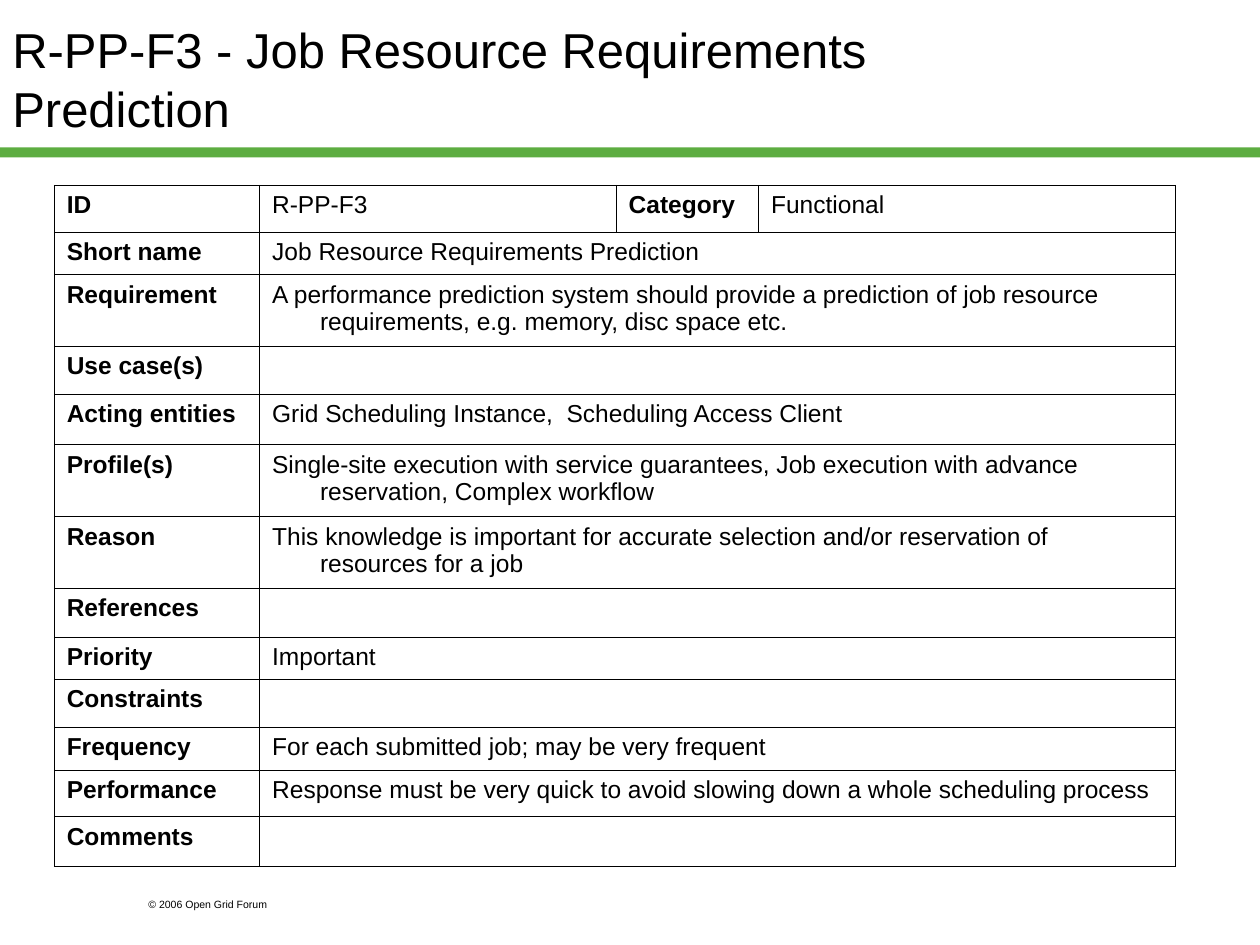
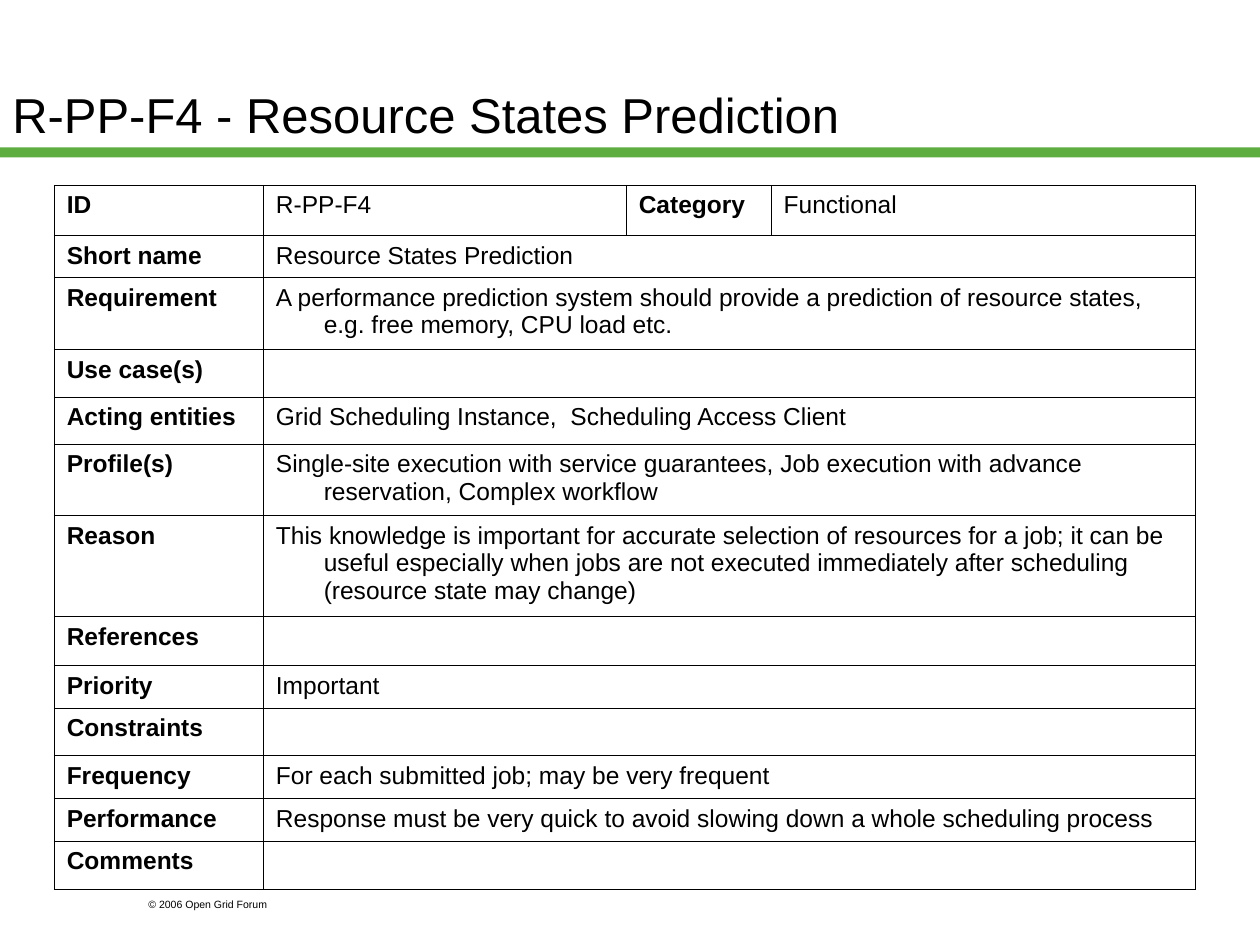
from lxml import etree
from pptx import Presentation, util as u
from pptx.dml.color import RGBColor
from pptx.enum import shapes, text
from pptx.oxml.ns import qn

BLACK = RGBColor(0x00, 0x00, 0x00)
GREEN = RGBColor(0x5D, 0xAD, 0x41)
FONT = "Arial"
CELL_SIZE = 14
HANGING = u.Inches(0.38)
BORDER_WIDTH = u.Pt(0.34)

TITLE_SIZE = (8.5, 1.25)
BAND_BOX = (0, 1.17, 10, 0.08)
FOOTER_BOX = (1.08, 7.08, 1.5, 0.2)
TABLE_CORNER = (0.43, 1.47)

# Fields that read the same for every requirement
COMMON_FIELDS = {
    "Category": "Functional",
    "Acting entities": "Grid Scheduling Instance,  Scheduling Access Client",
    "Profile(s)": "Single-site execution with service guarantees, "
                  "Job execution with advance reservation, Complex workflow",
    "Priority": "Important",
    "Frequency": "For each submitted job; may be very frequent",
    "Performance": "Response must be very quick to avoid slowing down "
                   "a whole scheduling process",
}
ROW_LABELS = ["Short name", "Requirement", "Use case(s)", "Acting entities",
              "Profile(s)", "Reason", "References", "Priority", "Constraints",
              "Frequency", "Performance", "Comments"]

REQUIREMENTS = [
    {
        "title_top": 0,
        "columns": [1.63, 2.83, 1.13, 3.31],
        "rows": [0.37, 0.34, 0.57, 0.38, 0.4, 0.57, 0.57,
                 0.39, 0.33, 0.38, 0.34, 0.37, 0.39],
        "fields": {
            "ID": "R-PP-F3",
            "Short name": "Job Resource Requirements Prediction",
            "Requirement": "A performance prediction system should provide a prediction "
                           "of job resource requirements, e.g. memory, disc space etc.",
            "Reason": "This knowledge is important for accurate selection and/or "
                      "reservation of resources for a job",
        },
    },
    {
        "title_top": 0.28,
        "columns": [1.66, 2.88, 1.15, 3.37],
        "rows": [0.4, 0.33, 0.57, 0.38, 0.37, 0.57, 0.8,
                 0.39, 0.33, 0.38, 0.34, 0.34, 0.38],
        "fields": {
            "ID": "R-PP-F4",
            "Short name": "Resource States Prediction",
            "Requirement": "A performance prediction system should provide a prediction "
                           "of resource states, e.g. free memory, CPU load etc.",
            "Reason": "This knowledge is important for accurate selection of resources "
                      "for a job; it can be useful especially when jobs are not executed "
                      "immediately after scheduling (resource state may change)",
        },
    },
]


def inches(box):
    return [u.Inches(length) for length in box]


def write(paragraph, words, size, bold=False):
    paragraph.text = words
    font_format = {"name": FONT, "size": u.Pt(size), "bold": bold}
    for name, value in font_format.items():
        setattr(paragraph.font, name, value)
    paragraph.font.color.rgb = BLACK


def add_line_of_text(slide, box, words, size, anchor):
    frame = slide.shapes.add_textbox(*inches(box)).text_frame
    frame.word_wrap = True
    frame.vertical_anchor = anchor
    write(frame.paragraphs[0], words, size)


def add_frame(slide):
    """Green band and copyright line."""
    band = slide.shapes.add_shape(shapes.MSO_SHAPE.RECTANGLE, *inches(BAND_BOX))
    band.shadow.inherit = False
    band.fill.solid()
    band.fill.fore_color.rgb = GREEN
    band.line.fill.background()
    add_line_of_text(slide, FOOTER_BOX, "© 2006 Open Grid Forum", 6,
                     text.MSO_ANCHOR.TOP)


def style_cell(cell):
    """Thin black border on every side, no fill, and a text size for empty cells."""
    properties = cell._tc.get_or_add_tcPr()
    for side in ("a:lnL", "a:lnR", "a:lnT", "a:lnB"):
        line = etree.SubElement(properties, qn(side), w=str(BORDER_WIDTH))
        fill = etree.SubElement(line, qn("a:solidFill"))
        etree.SubElement(fill, qn("a:srgbClr"), val=str(BLACK))
    cell.fill.background()
    cell.margin_left = cell.margin_right = u.Inches(0.1)
    cell.margin_top = cell.margin_bottom = u.Inches(0.05)
    # An empty cell takes its line height from the end mark
    paragraph = cell.text_frame.paragraphs[0]
    etree.SubElement(paragraph._p, qn("a:endParaRPr"), sz=str(CELL_SIZE * 100))


def fill_cell(cell, words, bold=False):
    if not words:
        return
    paragraph = cell.text_frame.paragraphs[0]
    indents = paragraph._p.get_or_add_pPr()
    indents.set("marL", str(HANGING))
    indents.set("indent", str(-HANGING))
    write(paragraph, words, CELL_SIZE, bold)


def add_requirement_table(slide, corner, columns, rows, fields):
    box = (*corner, sum(columns), sum(rows))
    table = slide.shapes.add_table(len(rows), len(columns), *inches(box)).table
    table.first_row = table.horz_banding = False
    for column, width in zip(table.columns, columns):
        column.width = u.Inches(width)
    for row, height in zip(table.rows, rows):
        row.height = u.Inches(height)
    for cell in table.iter_cells():
        style_cell(cell)

    # The first row holds two pairs; in the others the value spans three columns
    for column, label in ((0, "ID"), (2, "Category")):
        fill_cell(table.cell(0, column), label, bold=True)
        fill_cell(table.cell(0, column + 1), fields[label])
    for row, label in enumerate(ROW_LABELS, start=1):
        table.cell(row, 1).merge(table.cell(row, 3))
        fill_cell(table.cell(row, 0), label, bold=True)
        fill_cell(table.cell(row, 1), fields.get(label))


def add_requirement_slide(deck, requirement):
    slide = deck.slides.add_slide(deck.slide_layouts[6])
    fields = COMMON_FIELDS | requirement["fields"]
    add_frame(slide)
    add_line_of_text(slide, (0, requirement["title_top"], *TITLE_SIZE),
                     f"{fields['ID']} - {fields['Short name']}", 28,
                     text.MSO_ANCHOR.MIDDLE)
    add_requirement_table(slide, TABLE_CORNER, requirement["columns"],
                          requirement["rows"], fields)


def main():
    deck = Presentation()
    deck.slide_width, deck.slide_height = inches((10, 7.5))
    for requirement in REQUIREMENTS:
        add_requirement_slide(deck, requirement)
    deck.save("out.pptx")


if __name__ == "__main__":
    main()
